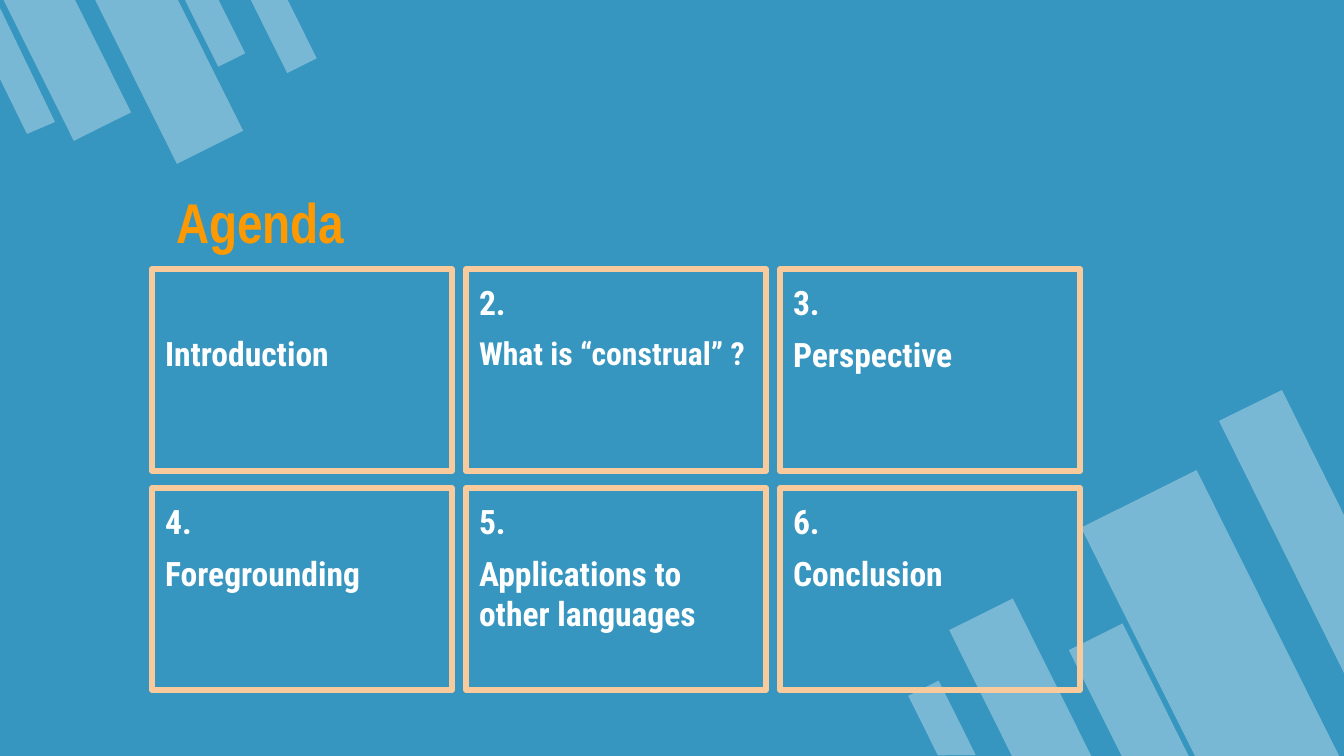
from lxml import etree
from pptx import Presentation
from pptx.dml.color import RGBColor
from pptx.enum.shapes import MSO_SHAPE
from pptx.enum.text import MSO_ANCHOR, MSO_AUTO_SIZE, PP_ALIGN
from pptx.oxml.ns import qn
from pptx.util import Emu, Pt

EMU_PER_PX = 914400 / 134.4
BLUE = RGBColor(0x37, 0x96, 0xBF)
WHITE = RGBColor(0xFF, 0xFF, 0xFF)
ORANGE = RGBColor(0xFF, 0x99, 0x00)
PEACH = RGBColor(0xF9, 0xCB, 0x9C)
STRIPE = MSO_SHAPE.FLOWCHART_MANUAL_INPUT
LEFT = PP_ALIGN.LEFT
TOP, BOTTOM = MSO_ANCHOR.TOP, MSO_ANCHOR.BOTTOM
NO_AUTOFIT = MSO_AUTO_SIZE.NONE
INSET = 13
NUMBER_LINE = 51

UPPER_STRIPES = [(200, -11, 30, 75), (35, -24, 64, 159),
                 (132, -27, 74, 184), (267, -13, 33, 83)]
UPPER_CUT_STRIPE = [(27, 134), (55, 122), (0, 8), (0, 79)]
LOWER_STRIPES = [(78, 215, 71, 177), (239, 92, 129, 321),
                 (192, 239, 60, 149), (18, 294, 34, 83)]
LOWER_CUT_STRIPE = [(375, 0), (312, 31), (437, 283), (437, 125)]
TOPICS = [
    ("", "Introduction", 18),
    ("2.", "What is “construal” ?", 17),
    ("3.", "Perspective", 18),
    ("4.", "Foregrounding", 18),
    ("5.", "Applications to other languages", 18),
    ("6.", "Conclusion", 18),
]


def px(length):
    """Convert pixels to EMU."""
    return Emu(round(length * EMU_PER_PX))


def paint_stripe(shape):
    """Fill a stripe with translucent white, without outline or shadow."""
    shape.shadow.inherit = False
    shape.line.fill.background()
    shape.fill.solid()
    shape.fill.fore_color.rgb = WHITE
    color = shape._element.spPr.find(qn("a:solidFill"))[0]
    etree.SubElement(color, qn("a:alpha")).set("val", "33000")


def add_stripes(slide, origin, stripes, cut_stripe, rotation):
    """Draw one corner's slanted stripes, offset from the origin."""
    x, y = origin
    for left, top, width, height in stripes:
        shape = slide.shapes.add_shape(
            STRIPE, px(x + left), px(y + top), px(width), px(height))
        shape.rotation = rotation
        shape._element.spPr.xfrm.set("flipH", "1")
        paint_stripe(shape)
    points = [(px(x + across), px(y + down)) for across, down in cut_stripe]
    builder = slide.shapes.build_freeform(*points[0])
    builder.add_line_segments(points[1:], close=True)
    paint_stripe(builder.convert_to_shape())


def add_placeholder(slide, source, box, anchor):
    """Add a placeholder of the layout in the given box."""
    slide.shapes.clone_placeholder(source)
    shape = slide.shapes[-1]
    shape.left, shape.top, shape.width, shape.height = map(px, box)
    frame = shape.text_frame
    frame.word_wrap = True
    frame.auto_size = NO_AUTOFIT
    frame.vertical_anchor = anchor
    frame.margin_left = frame.margin_right = px(INSET)
    frame.margin_top = frame.margin_bottom = px(INSET)
    return shape


def format_paragraph(paragraph, text, font_name, size, color):
    """Write bold, left-aligned text into a paragraph."""
    paragraph.text = text
    paragraph.alignment = LEFT
    font = paragraph.font
    font.name, font.size, font.bold = font_name, Pt(size), True
    font.color.rgb = color


def add_title(slide, source, box):
    """Place the slide title in the box."""
    shape = add_placeholder(slide, source, box, BOTTOM)
    format_paragraph(shape.text_frame.paragraphs[0], "Agenda",
                     "Arial Narrow", 30, ORANGE)


def add_card(slide, source, box, number, topic, size):
    """Place one outlined agenda card in the box."""
    shape = add_placeholder(slide, source, box, TOP)
    shape.line.color.rgb = PEACH
    shape.line.width = Pt(3)
    etree.SubElement(shape.line._ln, qn("a:round"))
    frame = shape.text_frame
    lines = [(number, 18), (topic, size)] if number else [(topic, size)]
    if not number:
        frame.margin_top = px(INSET + NUMBER_LINE)
    for index, (text, points) in enumerate(lines):
        paragraph = frame.add_paragraph() if index else frame.paragraphs[0]
        format_paragraph(paragraph, text, "Roboto Condensed", points, WHITE)
        paragraph.space_before = Pt(6)
        properties = paragraph._p.get_or_add_pPr()
        properties.set("marL", "0")
        properties.set("indent", "0")
        bullet = etree.Element(qn("a:buNone"))
        properties.find(qn("a:spcBef")).addnext(bullet)


def add_agenda(slide, source, box, columns=3, gap_x=14, gap_y=17):
    """Lay the topic cards out as a grid inside the box."""
    left, top, width, height = box
    rows = len(TOPICS) // columns
    card_width = (width - gap_x * (columns - 1)) // columns
    card_height = (height - gap_y * (rows - 1)) // rows
    for index, topic in enumerate(TOPICS):
        row, column = divmod(index, columns)
        card = (left + column * (card_width + gap_x),
                top + row * (card_height + gap_y), card_width, card_height)
        add_card(slide, source, card, *topic)


def main():
    """Build the agenda slide and save it."""
    presentation = Presentation()
    presentation.slide_width, presentation.slide_height = px(1344), px(756)
    layout = presentation.slide_layouts[1]
    slide = presentation.slides.add_slide(layout)
    for placeholder in list(slide.placeholders):
        placeholder._element.getparent().remove(placeholder._element)
    slide.background.fill.solid()
    slide.background.fill.fore_color.rgb = BLUE
    title, body = layout.placeholders[0], layout.placeholders[1]
    add_stripes(slide, (907, 390), LOWER_STRIPES, LOWER_CUT_STRIPE, 153.5)
    add_stripes(slide, (0, 0), UPPER_STRIPES, UPPER_CUT_STRIPE, 333.5)
    add_title(slide, title, (163, 169, 929, 99))
    add_agenda(slide, body, (152, 269, 928, 421))
    presentation.save("out.pptx")


if __name__ == "__main__":
    main()
